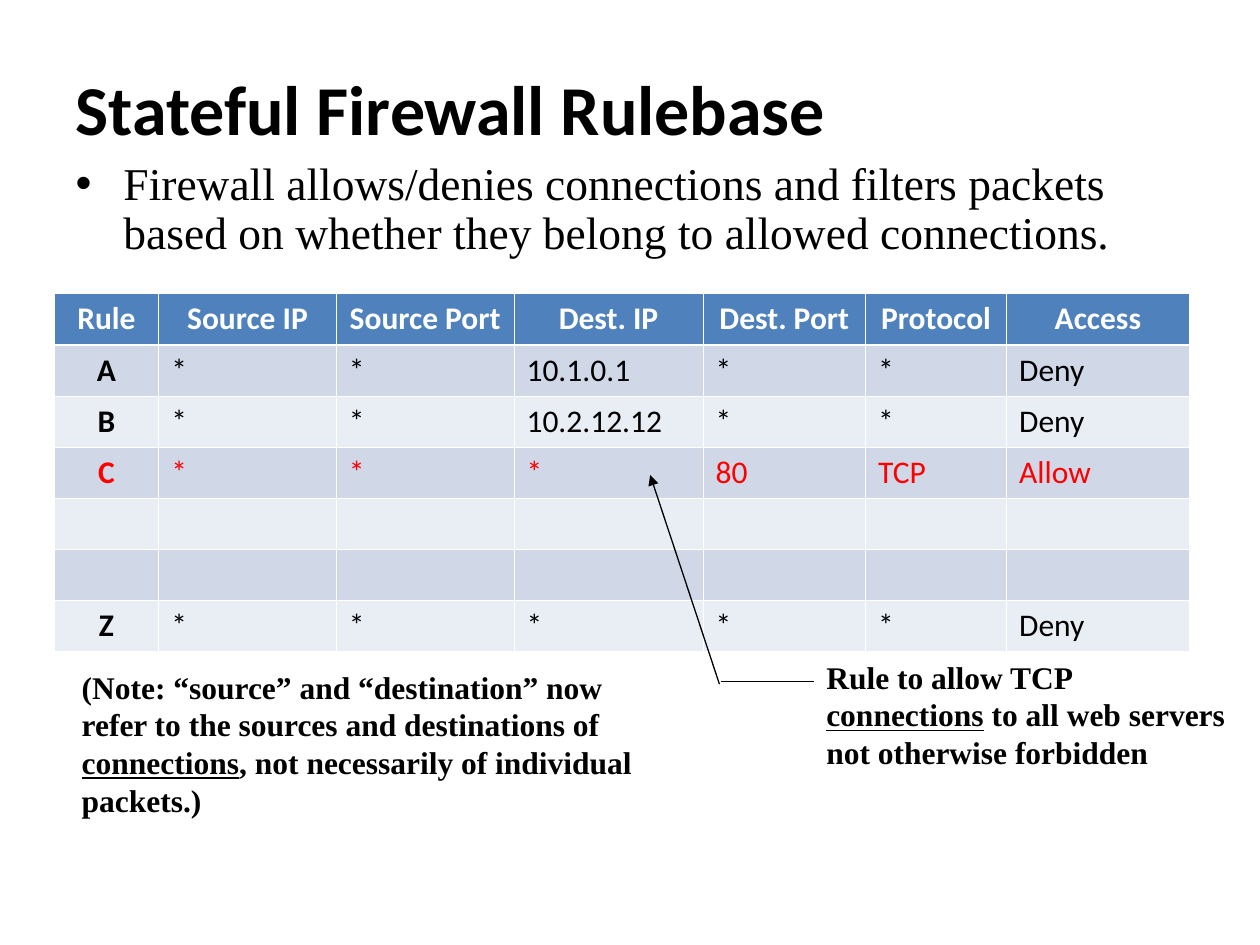
"""Build the slide that explains a stateful firewall rulebase."""
from lxml import etree
from pptx import Presentation
from pptx.dml.color import RGBColor
from pptx.enum.shapes import MSO_CONNECTOR
from pptx.enum.text import MSO_ANCHOR, MSO_AUTO_SIZE, PP_ALIGN
from pptx.oxml.ns import qn
from pptx.util import Inches, Pt

LEFT, CENTER = PP_ALIGN.LEFT, PP_ALIGN.CENTER
TOP, MIDDLE = MSO_ANCHOR.TOP, MSO_ANCHOR.MIDDLE
NO_FIT = MSO_AUTO_SIZE.NONE
STRAIGHT = MSO_CONNECTOR.STRAIGHT

THEME = {
    "text": "000000", "inverse": "FFFFFF", "accent": "FF0000",
    "header": "4F81BD", "bands": ("D0D8E8", "E9EDF4"),
    "sans": "Calibri", "serif": "Times New Roman",
    "title": 40, "body": 26, "small": 18,
    "hairline": 0.45, "header_rule": 1.47, "arrow": 0.75,
}

RULES = [
    ["Rule", "Source IP", "Source Port", "Dest. IP", "Dest. Port", "Protocol", "Access"],
    ["A", "*", "*", "10.1.0.1", "*", "*", "Deny"],
    ["B", "*", "*", "10.2.12.12", "*", "*", "Deny"],
    ["C", "*", "*", "*", "80", "TCP", "Allow"],
    [""] * 7,
    [""] * 7,
    ["Z", "*", "*", "*", "*", "*", "Deny"],
]

presentation = Presentation()
presentation.slide_width, presentation.slide_height = Inches(10), Inches(7.5)
GRID = presentation.slide_width // 100


def write(frame, text, size=THEME["small"], font=THEME["serif"], color=THEME["text"],
          bold=False, align=LEFT, anchor=TOP, line_spacing=1.0):
    """Fill a text frame; words between underscores are underlined."""
    frame.word_wrap = True
    frame.auto_size = NO_FIT
    frame.vertical_anchor = anchor
    paragraph = frame.paragraphs[0]
    paragraph.alignment = align
    paragraph.line_spacing = line_spacing
    paragraph.space_before = Pt(0)
    for index, part in enumerate(text.split("_")):
        run = paragraph.add_run()
        run.text = part
        run.font.size, run.font.name = Pt(size), font
        run.font.bold, run.font.underline = bold, index % 2 == 1
        run.font.color.rgb = RGBColor.from_string(color)
    return paragraph


def place(shape, left, top, width, height):
    """Move a shape to its place on the grid."""
    shape.left, shape.top = round(left * GRID), round(top * GRID)
    shape.width, shape.height = round(width * GRID), round(height * GRID)


slide = presentation.slides.add_slide(presentation.slide_layouts[1])
title, body = slide.placeholders
place(title, 5, 3.1, 90, 10.9)
write(title.text_frame, "Stateful Firewall Rulebase", size=THEME["title"],
      font=THEME["sans"], bold=True, anchor=MIDDLE)

place(body, 5, 12.3, 90, 48.4)
bullet = write(
    body.text_frame,
    "Firewall allows/denies connections and filters packets "
    "based on whether they belong to allowed connections.",
    size=THEME["body"], line_spacing=0.9)
properties = bullet._p.get_or_add_pPr()
properties.set("marL", str(Inches(0.38)))
properties.set("indent", str(-Inches(0.38)))

column_widths = [8.3, 14.1, 14.1, 15, 12.9, 11.2, 14.5]
row_height = 4.06
frame = slide.shapes.add_table(len(RULES), len(column_widths), 0, 0, GRID, GRID)
place(frame, 4.3, 23.3, sum(column_widths), row_height * len(RULES))
table = frame.table
for column, width in zip(table.columns, column_widths):
    column.width = round(width * GRID)

for row_index, rule in enumerate(RULES):
    table.rows[row_index].height = round(row_height * GRID)
    is_header = row_index == 0
    fill = THEME["header"] if is_header else THEME["bands"][(row_index - 1) % 2]
    color = THEME["inverse"] if is_header else THEME["accent"] if rule[0] == "C" else THEME["text"]
    for column_index, text in enumerate(rule):
        cell = table.cell(row_index, column_index)
        is_label = is_header or column_index == 0
        write(cell.text_frame, text, font=THEME["sans"], color=color,
              bold=is_label, align=CENTER if is_label else LEFT)
        cell_properties = cell._tc.get_or_add_tcPr()
        for side in ("lnL", "lnR", "lnT", "lnB"):
            is_rule = (row_index, side) in ((0, "lnB"), (1, "lnT"))
            weight = THEME["header_rule"] if is_rule else THEME["hairline"]
            border = etree.SubElement(cell_properties, qn(f"a:{side}"), w=str(Pt(weight)))
            border_fill = etree.SubElement(border, qn("a:solidFill"))
            etree.SubElement(border_fill, qn("a:srgbClr"), val=THEME["inverse"])
        cell.fill.solid()
        cell.fill.fore_color.rgb = RGBColor.from_string(fill)

for ends, has_arrow in [((57.1, 54.3, 51.6, 37.7), True), ((57.2, 54.1, 64.6, 54.1), False)]:
    connector = slide.shapes.add_connector(STRAIGHT, *(round(end * GRID) for end in ends))
    connector.line.width = Pt(THEME["arrow"])
    connector.line.color.rgb = RGBColor.from_string(THEME["text"])
    if has_arrow:
        etree.SubElement(connector.line._get_or_add_ln(), qn("a:tailEnd"), type="triangle")
    etree.SubElement(connector._element.spPr, qn("a:effectLst"))

notes = [
    ((5.5, 52.5, 46.1, 13),
     "(Note: “source” and “destination” now refer to the sources and destinations of "
     "_connections_, not necessarily of individual packets.)"),
    ((64.6, 51.7, 34.3, 10),
     "Rule to allow TCP _connections_ to all web servers not otherwise forbidden"),
]
for position, text in notes:
    note = slide.shapes.add_textbox(0, 0, GRID, GRID)
    place(note, *position)
    write(note.text_frame, text, bold=True)

presentation.save("out.pptx")
